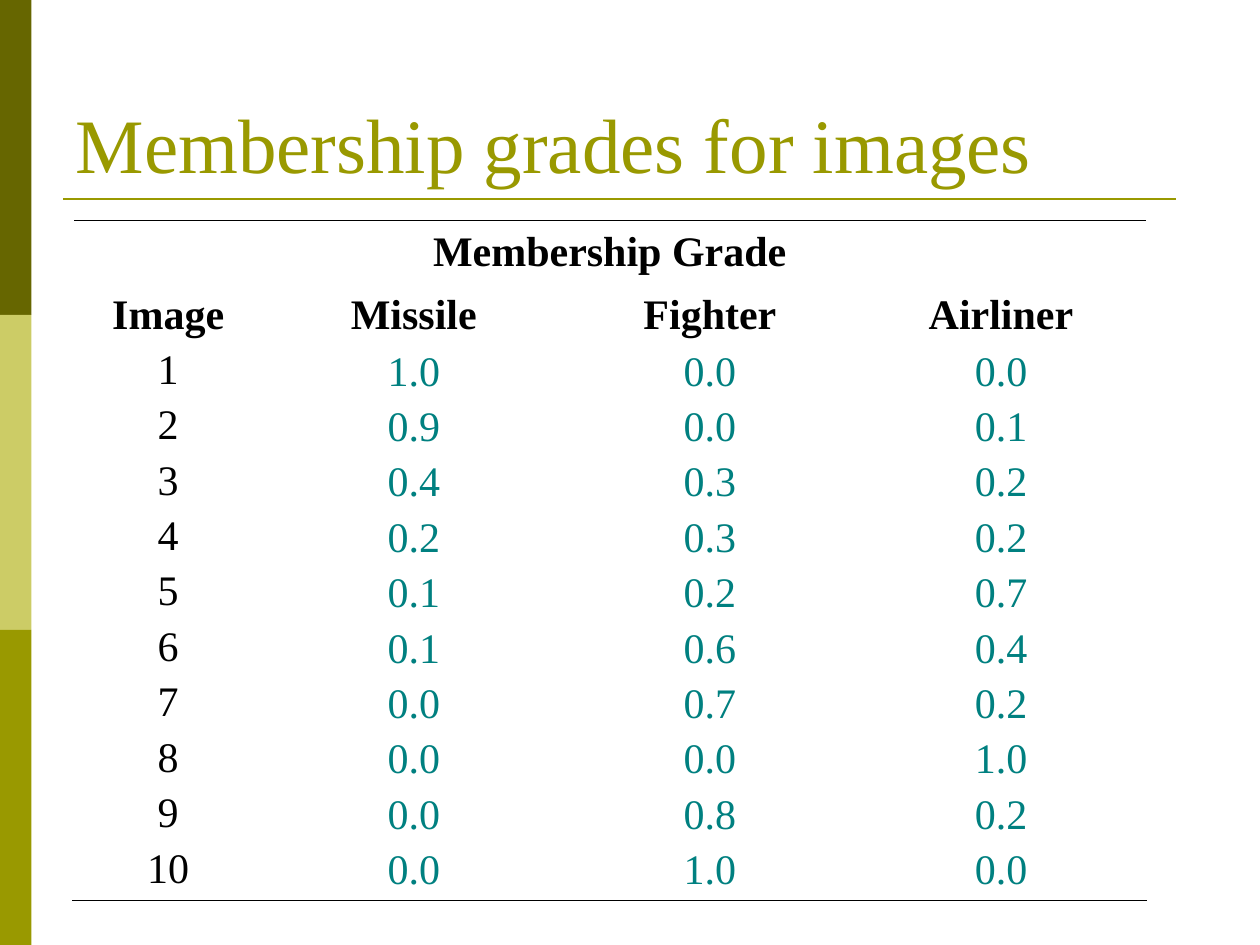
"""Build the slide with the table of membership grades for images."""
from lxml import etree
from pptx import Presentation
from pptx.dml.color import RGBColor
from pptx.enum.shapes import MSO_CONNECTOR, MSO_SHAPE
from pptx.enum.text import MSO_ANCHOR, MSO_AUTO_SIZE, PP_ALIGN
from pptx.oxml.ns import qn
from pptx.util import Emu, Pt

STRAIGHT = MSO_CONNECTOR.STRAIGHT
RECT = MSO_SHAPE.RECTANGLE
TOP, MIDDLE, BOTTOM = MSO_ANCHOR.TOP, MSO_ANCHOR.MIDDLE, MSO_ANCHOR.BOTTOM
NO_AUTOFIT = MSO_AUTO_SIZE.NONE
LEFT, CENTER = PP_ALIGN.LEFT, PP_ALIGN.CENTER

DARK_OLIVE = RGBColor(0x66, 0x66, 0x00)
LIGHT_OLIVE = RGBColor(0xCC, 0xCC, 0x66)
OLIVE = RGBColor(0x99, 0x99, 0x00)
BLACK = RGBColor(0x00, 0x00, 0x00)
TEAL = RGBColor(0x00, 0x80, 0x80)

EMU_PER_PX = 9144
TITLE_ONLY = 5
HEADERS = ["Image", "Missile", "Fighter", "Airliner"]
GRADES = [
    ["1.0", "0.0", "0.0"],
    ["0.9", "0.0", "0.1"],
    ["0.4", "0.3", "0.2"],
    ["0.2", "0.3", "0.2"],
    ["0.1", "0.2", "0.7"],
    ["0.1", "0.6", "0.4"],
    ["0.0", "0.7", "0.2"],
    ["0.0", "0.0", "1.0"],
    ["0.0", "0.8", "0.2"],
    ["0.0", "1.0", "0.0"],
]


def px(n):
    return Emu(n * EMU_PER_PX)


def write(tf, text, size=24, color=BLACK, bold=False, align=CENTER, spacing=1.0,
          font="Times New Roman"):
    p = tf.paragraphs[0]
    p.alignment = align
    p.line_spacing = spacing
    r = p.add_run()
    r.text = text
    r.font.name = font
    r.font.size = Pt(size)
    r.font.bold = bold
    r.font.color.rgb = color


def add_border(cell, tag, color=BLACK, width=1.08):
    ln = etree.Element(qn(tag), w=str(Pt(width)))
    fill = etree.SubElement(ln, qn("a:solidFill"))
    etree.SubElement(fill, qn("a:srgbClr"), val=str(color))
    cell._tc.get_or_add_tcPr().insert(0, ln)


class SlideBuilder:
    def __init__(self, prs):
        self.slide = prs.slides.add_slide(prs.slide_layouts[TITLE_ONLY])

    def title(self, text, x, y, w, h):
        sp = self.slide.shapes.title
        sp.left, sp.top, sp.width, sp.height = map(px, (x, y, w, h))
        tf = sp.text_frame
        tf.auto_size = NO_AUTOFIT
        tf.vertical_anchor = BOTTOM
        write(tf, text, size=44, color=OLIVE, align=LEFT)

    def rect(self, x, y, w, h, color):
        sp = self.slide.shapes.add_shape(RECT, *map(px, (x, y, w, h)))
        sp.shadow.inherit = False
        sp.fill.solid()
        sp.fill.fore_color.rgb = color
        sp.line.fill.background()

    def line(self, x1, y1, x2, y2, color, width):
        cxn = self.slide.shapes.add_connector(STRAIGHT, *map(px, (x1, y1, x2, y2)))
        cxn.line.color.rgb = color
        cxn.line.width = Pt(width)
        etree.SubElement(cxn._element.spPr, qn("a:effectLst"))

    def table(self, x, y, widths, heights):
        frame = self.slide.shapes.add_table(
            len(heights), len(widths), px(x), px(y), px(sum(widths)), px(sum(heights)))
        table = frame.table
        table.first_row = table.horz_banding = False
        for col, w in zip(table.columns, widths):
            col.width = px(w)
        for row, h in zip(table.rows, heights):
            row.height = px(h)
        for cell in table.iter_cells():
            cell.fill.background()
            cell.vertical_anchor = MIDDLE
        for i in range(len(widths)):
            add_border(table.cell(0, i), "a:lnT")
            add_border(table.cell(len(heights) - 1, i), "a:lnB")
        return table


def main():
    prs = Presentation()
    prs.slide_width, prs.slide_height = px(1000), px(750)
    s = SlideBuilder(prs)

    for i, color in enumerate((DARK_OLIVE, LIGHT_OLIVE, OLIVE)):
        s.rect(0, 250 * i, 25, 250, color)
    s.line(50, 158, 933, 158, OLIVE, 1.5)
    s.title("Membership grades for images", 50, 30, 900, 125)

    table = s.table(58, 175, [151, 239, 231, 231], [50] * 2 + [44] * len(GRADES))
    table.cell(0, 0).merge(table.cell(0, len(HEADERS) - 1))
    write(table.cell(0, 0).text_frame, "Membership Grade", bold=True)
    for i, header in enumerate(HEADERS):
        write(table.cell(1, i).text_frame, header, bold=True)
    for image, grades in enumerate(GRADES, 1):
        label = table.cell(image + 1, 0)
        label.vertical_anchor = TOP
        write(label.text_frame, str(image), spacing=0.85)
        for i, grade in enumerate(grades, 1):
            write(table.cell(image + 1, i).text_frame, grade, color=TEAL, spacing=0.85)

    prs.save("out.pptx")


if __name__ == "__main__":
    main()
